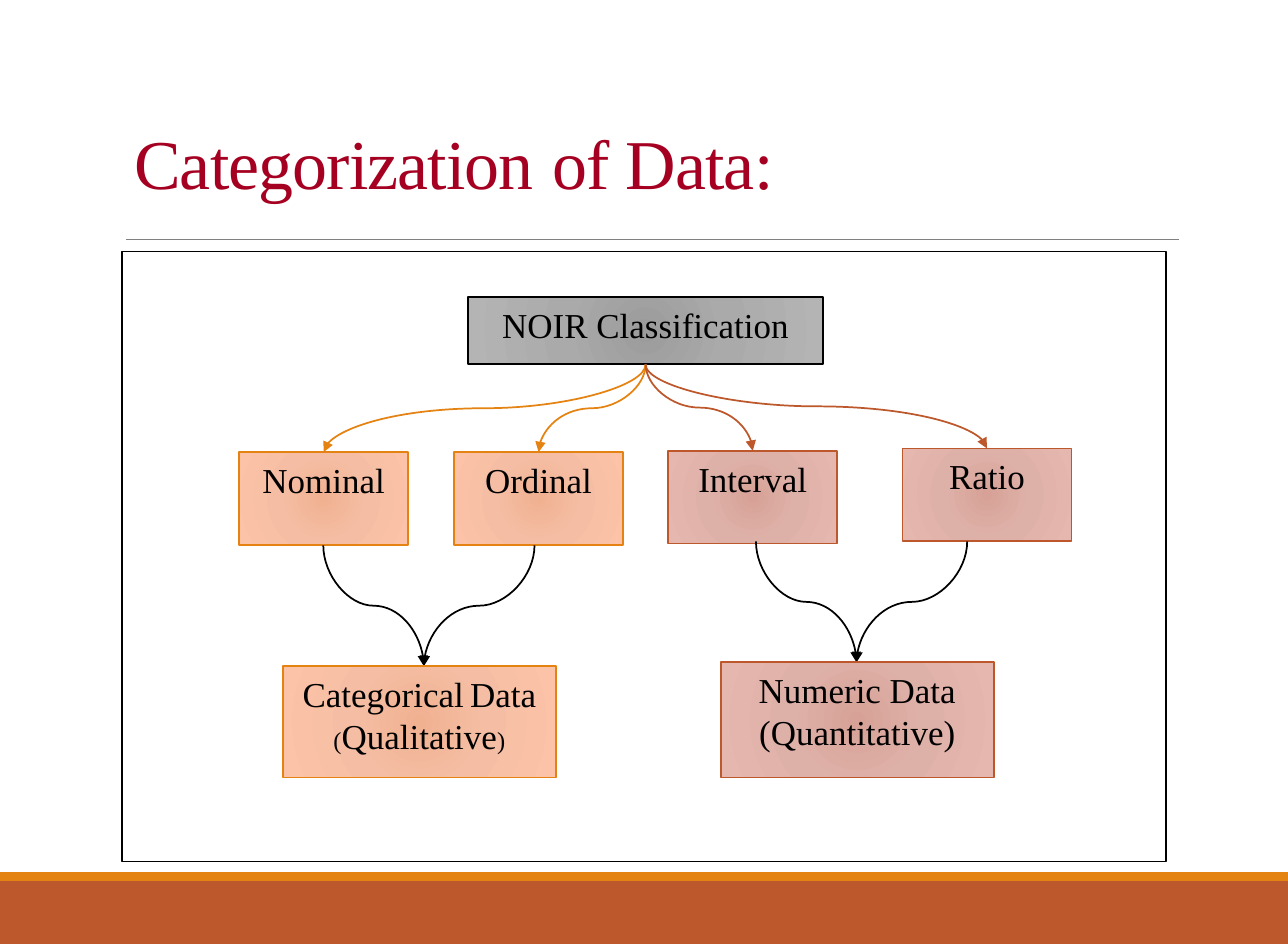
from lxml import etree
from pptx import Presentation
from pptx.dml.color import RGBColor
from pptx.enum.shapes import MSO_CONNECTOR as Connector, MSO_SHAPE as Shape
from pptx.enum.text import MSO_ANCHOR as Anchor, PP_ALIGN as Align
from pptx.oxml.ns import qn
from pptx.util import Cm, Pt

BLACK = RGBColor(0x00, 0x00, 0x00)
WHITE = RGBColor(0xFF, 0xFF, 0xFF)
GRAY = RGBColor(0x80, 0x80, 0x80)
CRIMSON = RGBColor(0xA5, 0x00, 0x21)
CHARCOAL = RGBColor(0x40, 0x40, 0x40)
ORANGE = RGBColor(0xE4, 0x83, 0x12)
RUST = RGBColor(0xBD, 0x58, 0x2C)

# Radial fills: colours at 0, 45 and 100 percent
GRAY_GLOW = [RGBColor.from_string(c) for c in ("9C9C9C", "AAAAAA", "B4B4B4")]
ORANGE_GLOW = [RGBColor.from_string(c) for c in ("F0B191", "F5BEA4", "FDC3A8")]
RUST_GLOW = [RGBColor.from_string(c) for c in ("D7A197", "DEB1A8", "E6B7AE")]


class SlideBuilder:
    """Places elements on a grid of 32 columns and 30 rows."""

    width, height = Cm(26), Cm(19.05)
    columns, rows = 32, 30
    serif, sans = "Times New Roman", "Calibri"

    def __init__(self, presentation):
        presentation.slide_width, presentation.slide_height = self.width, self.height
        self.slide = presentation.slides.add_slide(presentation.slide_layouts[6])

    def x(self, column):
        return round(self.width * column / self.columns)

    def y(self, row):
        return round(self.height * row / self.rows)

    def area(self, column, row, wide, high):
        return self.x(column), self.y(row), self.x(wide), self.y(high)

    def rectangle(self, area, fill, line=None, weight=1):
        shape = self.slide.shapes.add_shape(Shape.RECTANGLE, *self.area(*area))
        shape.shadow.inherit = False
        if isinstance(fill, list):
            self.glow(shape, fill)
        else:
            shape.fill.solid()
            shape.fill.fore_color.rgb = fill
        if line is None:
            shape.line.fill.background()
        else:
            shape.line.color.rgb = line
            shape.line.width = Pt(weight)
        return shape

    def glow(self, shape, colors):
        shape.fill.background()
        properties = shape._element.spPr
        gradient = etree.Element(qn("a:gradFill"), rotWithShape="1")
        stops = etree.SubElement(gradient, qn("a:gsLst"))
        for position, color in zip((0, 45, 100), colors):
            stop = etree.SubElement(stops, qn("a:gs"), pos=str(position * 1000))
            etree.SubElement(stop, qn("a:srgbClr"), val=str(color))
        circle = etree.SubElement(gradient, qn("a:path"), path="circle")
        etree.SubElement(circle, qn("a:fillToRect"), {side: "100000" for side in "ltrb"})
        properties.replace(properties.find(qn("a:noFill")), gradient)

    def box(self, area, fill, line, lines):
        """A labelled box; each line is a list of (text, size) runs."""
        text_frame = self.rectangle(area, fill, line).text_frame
        text_frame.word_wrap = True
        text_frame.vertical_anchor = Anchor.TOP
        for index, runs in enumerate(lines):
            paragraph = text_frame.add_paragraph() if index else text_frame.paragraphs[0]
            paragraph.alignment = Align.CENTER
            for text, size in runs:
                self.run(paragraph, text, size, self.serif, BLACK)

    def run(self, paragraph, text, size, font, color):
        run = paragraph.add_run()
        run.text = text
        run.font.size = Pt(size)
        run.font.name = font
        run.font.color.rgb = color
        return run

    def title(self, area, runs):
        text_frame = self.slide.shapes.add_textbox(*self.area(*area)).text_frame
        text_frame.word_wrap = True
        text_frame.vertical_anchor = Anchor.BOTTOM
        paragraph = text_frame.paragraphs[0]
        paragraph.line_spacing = 0.85
        for text, size, font, color in runs:
            run = self.run(paragraph, text, size, font, color)
            run.font._element.set("spc", "-50")

    def connector(self, kind, ends, color, weight):
        connector = self.slide.shapes.add_connector(kind, *ends)
        connector.line.color.rgb = color
        connector.line.width = Pt(weight)
        etree.SubElement(connector._element.spPr, qn("a:effectLst"))
        return connector

    def rule(self, column, row, end_column, color, weight):
        ends = self.x(column), self.y(row), self.x(end_column), self.y(row)
        self.connector(Connector.STRAIGHT, ends, color, weight)

    def curve(self, start, end, color):
        """A curved arrow that leaves and arrives vertically, by a quarter turn."""
        x1, y1, x2, y2 = self.x(start[0]), self.y(start[1]), self.x(end[0]), self.y(end[1])
        middle_x, middle_y = (x1 + x2) // 2, (y1 + y2) // 2
        half_wide, half_high = (y2 - y1) // 2, abs(x2 - x1) // 2
        rightward = x2 > x1
        reach = -half_wide if rightward else half_wide
        ends = (middle_x - reach, middle_y - half_high, middle_x + reach, middle_y + half_high)
        connector = self.connector(Connector.CURVE, ends, color, 1)
        turn = 270 if rightward else 90
        connector._element.spPr.find(qn("a:xfrm")).set("rot", str(turn * 60000))
        line = connector._element.spPr.find(qn("a:ln"))
        etree.SubElement(line, qn("a:tailEnd"), type="triangle")


def main():
    presentation = Presentation()
    builder = SlideBuilder(presentation)

    # Footer bands and title
    builder.rectangle((0, 28, 32, 2), RUST)
    builder.rectangle((0, 27.72, 32, 0.28), ORANGE)
    builder.rule(3.13, 7.61, 29.29, GRAY, 0.5)
    builder.title((3.03, 3.27, 24.84, 3.48), [
        ("Categorization", 40, builder.serif, CRIMSON),
        (" ", 48, builder.sans, CHARCOAL),
        ("of Data:", 40, builder.serif, CRIMSON),
    ])

    # Diagram frame and root
    builder.rectangle((3.03, 8, 25.94, 19.38), WHITE, BLACK, 0.75)
    builder.box((11.63, 9.44, 8.82, 2.14), GRAY_GLOW, BLACK,
                [[("NOIR Classification", 20)]])
    root_bottom = (16.04, 11.58)

    # Four scales of measurement
    scale_wide, scale_high = 4.2, 2.94
    scales = [
        ("Nominal", 5.94, 14.37, ORANGE_GLOW, ORANGE),
        ("Ordinal", 11.28, 14.37, ORANGE_GLOW, ORANGE),
        ("Interval", 16.6, 14.33, RUST_GLOW, RUST),
        ("Ratio", 22.42, 14.25, RUST_GLOW, RUST),
    ]
    for name, column, row, fill, line in scales:
        builder.box((column, row, scale_wide, scale_high), fill, line, [[(name, 20)]])

    # Two kinds of data, each with arrows from its pair of scales
    kinds = [
        (7.03, 21.17, 3.54, 10.53, ORANGE_GLOW, ORANGE,
         [[("Categorical", 20), (" ", 14), ("Data", 20)],
          [("(", 14), ("Qualitative", 20), (")", 14)]]),
        (17.91, 21.05, 3.66, 21.28, RUST_GLOW, RUST,
         [[("Numeric Data", 20)], [("(Quantitative)", 20)]]),
    ]
    for column, row, high, meeting, fill, line, lines in kinds:
        for offset in (-2.5, 2.75):
            builder.curve((meeting + offset, row - 3.84), (meeting, row), BLACK)
        builder.box((column, row, 6.78, high), fill, line, lines)

    # Arrows from the root to the scales
    for name, column, row, fill, line in scales:
        builder.curve(root_bottom, (column + scale_wide / 2, row), line)

    presentation.save("out.pptx")


if __name__ == "__main__":
    main()
